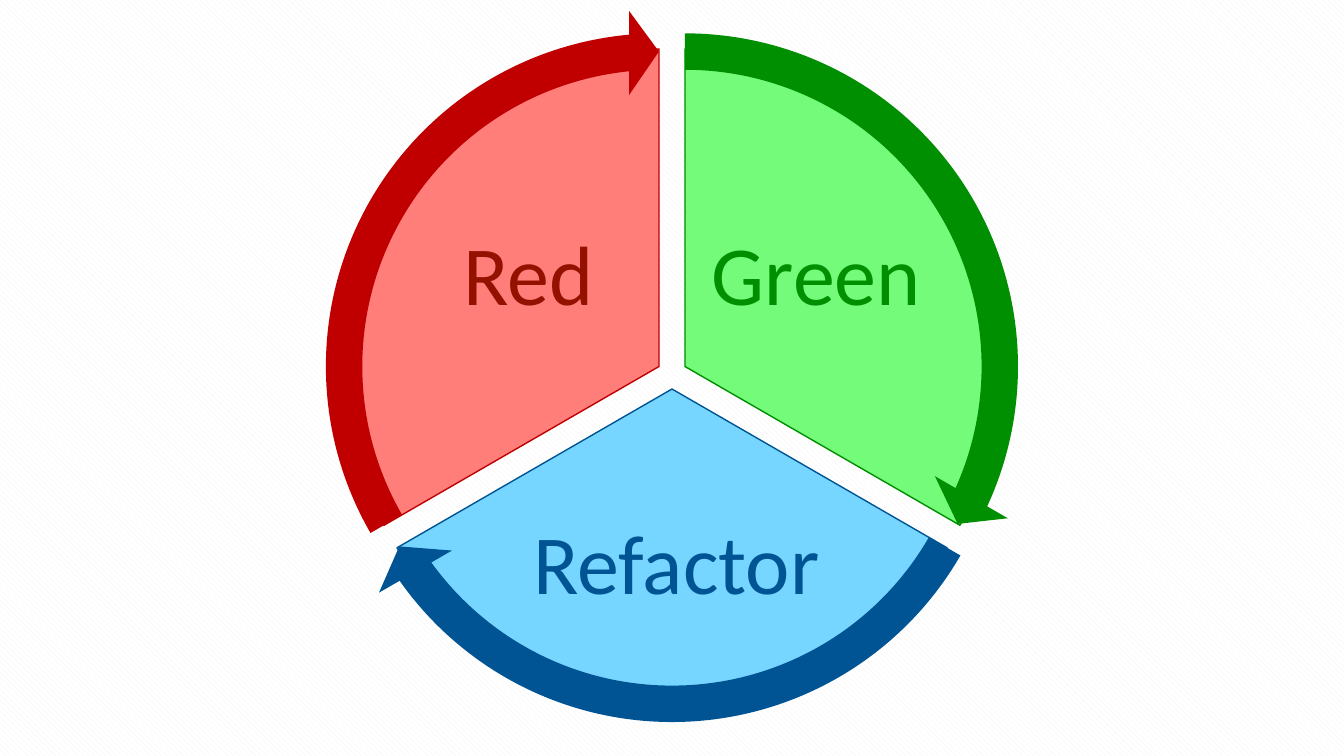
import math

from pptx import Presentation
from pptx.dml.color import RGBColor
from pptx.enum.dml import MSO_PATTERN
from pptx.enum.shapes import MSO_SHAPE
from pptx.enum.text import MSO_ANCHOR, PP_ALIGN
from pptx.util import Emu, Pt

PIE = MSO_SHAPE.PIE
ARROW = MSO_SHAPE.CIRCULAR_ARROW
DIAGONAL = MSO_PATTERN.WIDE_DOWNWARD_DIAGONAL
MIDDLE = MSO_ANCHOR.MIDDLE
CENTER = PP_ALIGN.CENTER

EMU_PER_PX = 914400 / 100.8
ADJ_PER_DEGREE = 0.6
HUB_X, HUB_Y, SPREAD = 672, 374, 15
PIE_SIZE, ARROW_SIZE = 635, 714
BAND, HEAD_ANGLE, HEAD_WIDTH = 0.051, 3.275, 0.059

# name, start angle, slice colour, arrow colour, text colour, label box
PHASES = [
    ("Green", 270, "73FB79", "008F00", "008F00", (703, 183, 227, 190)),
    ("Refactor", 30, "76D6FF", "005493", "005493", (506, 484, 341, 166)),
    ("Red", 150, "FF7E79", "C00000", "941100", (415, 183, 227, 190)),
]


def px(n):
    """Turn pixels into EMU."""
    return Emu(round(n * EMU_PER_PX))


def rgb(color):
    """Turn a hex string into a colour."""
    return RGBColor.from_string(color)


def set_background(s):
    """Give the slide its fine diagonal hatching."""
    fill = s.background.fill
    fill.patterned()
    fill.pattern = DIAGONAL
    fill.fore_color.rgb = rgb("F2F2F2")
    fill.back_color.rgb = rgb("FFFFFF")


def add_round(s, kind, start, size, adjustments, color, line=None):
    """Add a shape around the hub, moved outwards along its 120 degree sector."""
    middle = math.radians(start + 60)
    x = HUB_X + SPREAD * math.cos(middle) - size / 2
    y = HUB_Y + SPREAD * math.sin(middle) - size / 2
    sp = s.shapes.add_shape(kind, px(x), px(y), px(size), px(size))
    sp.shadow.inherit = False
    for i, value in enumerate(adjustments):
        sp.adjustments[i] = value
    sp.fill.solid()
    sp.fill.fore_color.rgb = rgb(color)
    if line:
        sp.line.color.rgb = rgb(line)
        sp.line.width = Pt(1)
    else:
        sp.line.fill.background()


def add_slice(s, start, color, line):
    """Add the pie slice of one phase."""
    end = (start + 120) % 360
    angles = [start * ADJ_PER_DEGREE, end * ADJ_PER_DEGREE]
    add_round(s, PIE, start, PIE_SIZE, angles, color, line)


def add_arrow(s, start, color):
    """Add the curved arrow along the rim of one phase."""
    end = (start + 120) % 360 * ADJ_PER_DEGREE
    values = [BAND, HEAD_ANGLE, end - HEAD_ANGLE, start * ADJ_PER_DEGREE, HEAD_WIDTH]
    add_round(s, ARROW, start, ARROW_SIZE, values, color)


def add_label(s, text, box, color):
    """Add a centred phase name."""
    tf = s.shapes.add_textbox(*map(px, box)).text_frame
    tf.word_wrap = True
    tf.vertical_anchor = MIDDLE
    tf.margin_left = tf.margin_right = tf.margin_top = tf.margin_bottom = px(8)
    p = tf.paragraphs[0]
    p.text = text
    p.alignment = CENTER
    p.line_spacing = 0.9
    font = p.runs[0].font
    font.name = "Calibri"
    font.size = Pt(60)
    font.color.rgb = rgb(color)


def main():
    """Build the red, green, refactor cycle."""
    prs = Presentation()
    prs.slide_width, prs.slide_height = px(1344), px(756)
    s = prs.slides.add_slide(prs.slide_layouts[6])
    set_background(s)
    for name, start, color, dark, ink, box in PHASES:
        add_slice(s, start, color, dark)
        add_label(s, name, box, ink)
    for name, start, color, dark, ink, box in PHASES:
        add_arrow(s, start, dark)
    prs.save("out.pptx")


main()
